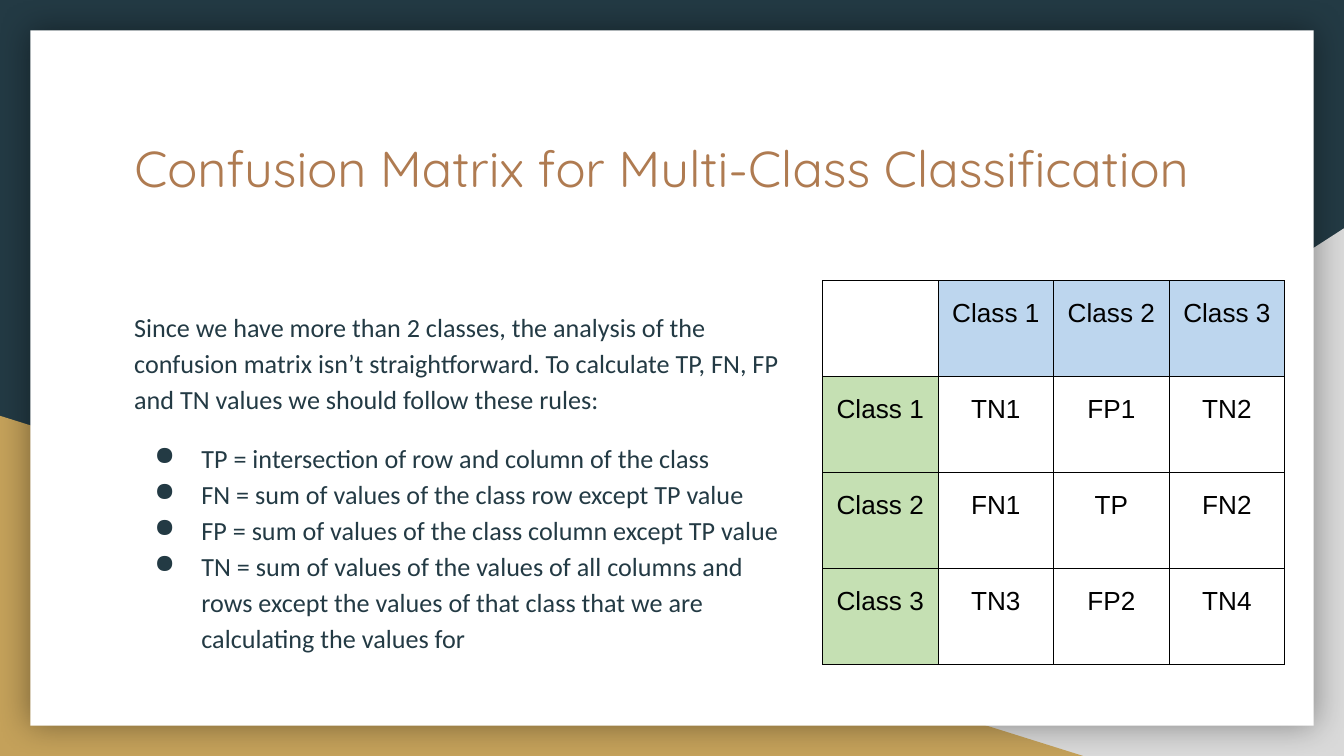
from lxml import etree
from pptx import Presentation
from pptx.dml.color import RGBColor
from pptx.enum.shapes import MSO_SHAPE
from pptx.enum.text import MSO_ANCHOR, MSO_AUTO_SIZE, PP_ALIGN
from pptx.oxml.ns import qn
from pptx.util import Inches, Pt

RECTANGLE = MSO_SHAPE.RECTANGLE
TRIANGLE = MSO_SHAPE.RIGHT_TRIANGLE
TOP = MSO_ANCHOR.TOP
NO_FIT = MSO_AUTO_SIZE.NONE
LEFT, CENTER = PP_ALIGN.LEFT, PP_ALIGN.CENTER
TITLE_ONLY = 5
NAVY, GOLD, GRAY, WHITE = "233A44", "C4A15A", "D9D9D9", "FFFFFF"
BROWN, BLUE, GREEN, BLACK = "AF7B51", "BDD6EE", "C5E0B3", "000000"

TITLE = "Confusion Matrix for Multi-Class Classification"
INTRO = (
    "Since we have more than 2 classes, the analysis of the confusion matrix "
    "isn’t straightforward. To calculate TP, FN, FP and TN values we should "
    "follow these rules:"
)
RULES = [
    "TP = intersection of row and column of the class",
    "FN = sum of values of the class row except TP value",
    "FP = sum of values of the class column except TP value",
    "TN = sum of values of the values of all columns and rows except "
    "the values of that class that we are calculating the values for",
]
MATRIX = [
    ["", "Class 1", "Class 2", "Class 3"],
    ["Class 1", "TN1", "FP1", "TN2"],
    ["Class 2", "FN1", "TP", "FN2"],
    ["Class 3", "TN3", "FP2", "TN4"],
]


def color(value):
    return RGBColor.from_string(value)


def part(box, left, top, width, height):
    x, y, w, h = box
    return (
        int(x + w * left / 100),
        int(y + h * top / 100),
        int(w * width / 100),
        int(h * height / 100),
    )


def add_child(parent, tag, **attributes):
    child = etree.SubElement(parent, qn(tag))
    for name, value in attributes.items():
        child.set(name, str(value))
    return child


def add_span(para, text, font, size, tint):
    span = para.add_run()
    span.text = text
    span.font.name = font
    span.font.size = Pt(size)
    span.font.color.rgb = color(tint)


def prepare_frame(frame):
    frame.word_wrap = True
    frame.auto_size = NO_FIT
    frame.vertical_anchor = TOP
    frame.margin_left = frame.margin_right = Inches(0.1)
    frame.margin_top = frame.margin_bottom = Inches(0.1)


def add_block(page, kind, box, fill):
    block = page.shapes.add_shape(kind, *box)
    block.shadow.inherit = False
    block.fill.solid()
    block.fill.fore_color.rgb = color(fill)
    block.line.fill.background()
    return block


def draw_backdrop(page, box):
    page.background.fill.solid()
    page.background.fill.fore_color.rgb = color(NAVY)
    corner = add_block(page, TRIANGLE, part(box, 39.2, 30.2, 60.8, 69.8), GRAY)
    corner._element.spPr.find(qn("a:xfrm")).set("flipH", "1")
    add_block(page, TRIANGLE, part(box, 0, 55, 80.6, 45), GOLD)
    card = add_block(page, RECTANGLE, part(box, 2.25, 4, 95.5, 92), WHITE)
    effects = card._element.spPr.find(qn("a:effectLst"))
    shadow = add_child(effects, "a:outerShdw", blurRad=Pt(18), dist=0, dir=0,
                       algn="ctr", rotWithShape=0)
    tint = add_child(shadow, "a:srgbClr", val=BLACK)
    add_child(tint, "a:alpha", val=40000)


def write_title(page, box):
    title = page.shapes.title
    title.left, title.top, title.width, title.height = box
    tree = page.shapes._spTree
    tree.remove(title._element)
    tree.append(title._element)
    prepare_frame(title.text_frame)
    para = title.text_frame.paragraphs[0]
    para.alignment = LEFT
    add_span(para, TITLE, "Quicksand", 27, BROWN)


def add_bullet(para):
    properties = para._p.get_or_add_pPr()
    properties.set("marL", str(Inches(0.5)))
    properties.set("indent", str(Inches(-0.35)))
    tint = add_child(properties, "a:buClr")
    add_child(tint, "a:srgbClr", val=NAVY)
    add_child(properties, "a:buChar", char="●")


def write_rules(page, box):
    frame = page.shapes.add_textbox(*box).text_frame
    prepare_frame(frame)
    for index, text in enumerate([INTRO, *RULES]):
        para = frame.add_paragraph() if index else frame.paragraphs[0]
        para.line_spacing = 1.15
        para.space_before = Pt(12 if index == 1 else 0)
        if index:
            add_bullet(para)
        add_span(para, text, "Calibri", 14, NAVY)


def add_borders(cell):
    properties = cell._tc.get_or_add_tcPr()
    for position, side in enumerate(("a:lnL", "a:lnR", "a:lnT", "a:lnB")):
        border = etree.Element(qn(side), w=str(Pt(0.6)))
        fill = add_child(border, "a:solidFill")
        add_child(fill, "a:srgbClr", val=BLACK)
        properties.insert(position, border)


def fill_cell(cell, text, fill):
    cell.margin_left = cell.margin_right = Inches(0.07)
    cell.margin_top = cell.margin_bottom = Inches(0.1)
    cell.vertical_anchor = TOP
    if fill:
        cell.fill.solid()
        cell.fill.fore_color.rgb = color(fill)
    else:
        cell.fill.background()
    add_borders(cell)
    if text:
        para = cell.text_frame.paragraphs[0]
        para.alignment = CENTER
        para.line_spacing = 1.15
        para.space_before = Pt(12)
        add_span(para, text, "Arial", 14, BLACK)


def draw_matrix(page, box):
    count = len(MATRIX)
    table = page.shapes.add_table(count, count, *box).table
    table.first_row = table.horz_banding = False
    for column in table.columns:
        column.width = box[2] // count
    for row in table.rows:
        row.height = box[3] // count
    for r, texts in enumerate(MATRIX):
        for c, text in enumerate(texts):
            fill = None
            if text and r == 0:
                fill = BLUE
            elif text and c == 0:
                fill = GREEN
            fill_cell(table.cell(r, c), text, fill)


def main():
    deck = Presentation()
    deck.slide_width = Inches(10)
    deck.slide_height = deck.slide_width * 9 // 16
    page = deck.slides.add_slide(deck.slide_layouts[TITLE_ONLY])
    full = (0, 0, deck.slide_width, deck.slide_height)
    draw_backdrop(page, full)
    write_title(page, part(full, 9, 16.4, 82.1, 18.5))
    write_rules(page, part(full, 9, 38.8, 50.1, 47.6))
    draw_matrix(page, part(full, 61.2, 37.1, 34.4, 50.8))
    deck.save("out.pptx")


if __name__ == "__main__":
    main()
